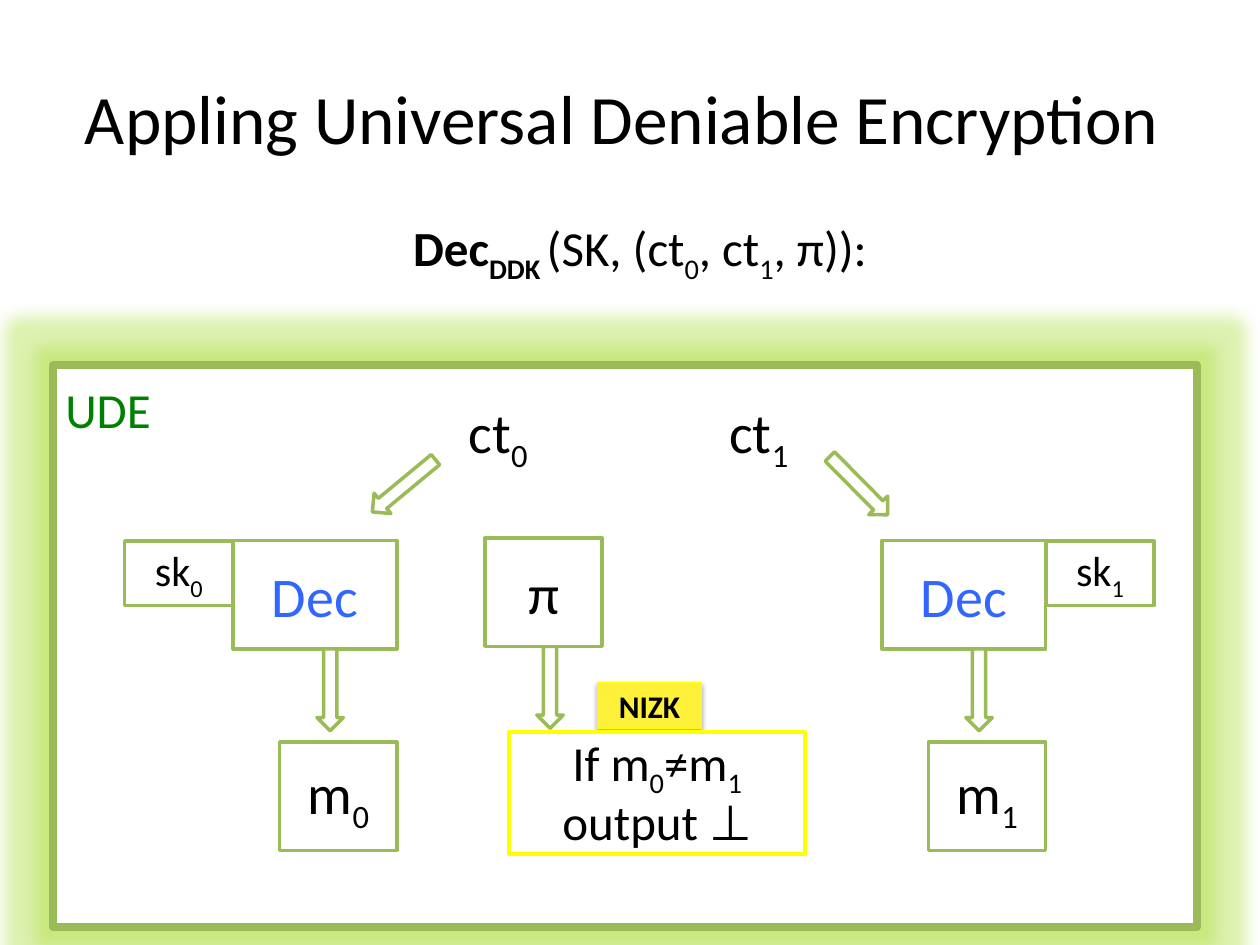
from dataclasses import dataclass

from lxml import etree
from pptx import Presentation
from pptx.dml.color import RGBColor
from pptx.enum import shapes, text
from pptx.oxml import ns
from pptx.util import Emu, Inches, Pt

# Grid of 100 columns and 75 rows
COLUMNS, ROWS = 100, 75
CELL = Inches(10) // COLUMNS

FONT = "Calibri"
BLACK = RGBColor(0x00, 0x00, 0x00)
WHITE = RGBColor(0xFF, 0xFF, 0xFF)
GREEN = RGBColor(0x9B, 0xBB, 0x59)
DARK_GREEN = RGBColor(0x00, 0x80, 0x00)
BLUE = RGBColor(0x33, 0x66, 0xFF)
YELLOW = RGBColor(0xFF, 0xFF, 0x00)
GOLD = RGBColor(0xFF, 0xF0, 0x39)
GLOW = RGBColor(0xAA, 0xDE, 0x3A)

RECT = shapes.MSO_SHAPE.RECTANGLE
ARROW = shapes.MSO_SHAPE.RIGHT_ARROW
MIDDLE, TOP = text.MSO_ANCHOR.MIDDLE, text.MSO_ANCHOR.TOP


@dataclass
class Span:
    text: str
    sub: bool = False
    bold: bool = False


@dataclass
class Area:
    col: float
    row: float
    cols: float
    rows: float

    def lengths(self) -> list[Emu]:
        return [Emu(round(n * CELL)) for n in (self.col, self.row, self.cols, self.rows)]


@dataclass
class Branch:
    """One decryption path: ciphertext, key, decryption and message."""
    index: str
    dec_col: float
    key_col: float
    cipher_col: float
    arrow_col: float
    angle: float


BRANCHES = [
    Branch("0", 18.5, 9.9, 36.2, 28.8, 140.4),
    Branch("1", 70, 83, 56.9, 64.9, 45.3),
]


def write(para, spans: list[Span], size: float, color: RGBColor = BLACK) -> None:
    for span in spans:
        run = para.add_run()
        run.text = span.text
        run.font.name, run.font.size = FONT, Pt(size)
        run.font.bold = span.bold
        run.font.color.rgb = color
        if span.sub:
            run.font._element.set("baseline", "-25000")


def draw_shape(page, kind, area: Area, line: RGBColor = GREEN, width: float = 2,
               fill: RGBColor = WHITE, angle: float = 0):
    shape = page.shapes.add_shape(kind, *area.lengths())
    shape.shadow.inherit = False
    shape.fill.solid()
    shape.fill.fore_color.rgb = fill
    shape.line.color.rgb = line
    shape.line.width = Pt(width)
    shape.rotation = angle
    return shape


def draw_box(page, area: Area, spans: list[Span], size: float = 32,
             color: RGBColor = BLACK, anchor=MIDDLE, inset: float = 0.5, **style):
    box = draw_shape(page, RECT, area, **style)
    frame = box.text_frame
    frame.word_wrap = True
    frame.vertical_anchor = anchor
    frame.margin_top = frame.margin_bottom = Emu(round(inset * CELL))
    para = frame.paragraphs[0]
    para.alignment = text.PP_ALIGN.CENTER
    write(para, spans, size, color)
    return box


def draw_arrow(page, col: float, row: float, angle: float = 90) -> None:
    draw_shape(page, ARROW, Area(col, row, 6.5, 2.1), angle=angle)


def draw_label(page, area: Area, spans: list[Span], size: float,
               color: RGBColor = BLACK) -> None:
    label = page.shapes.add_textbox(*area.lengths())
    label.text_frame.word_wrap = False
    label.text_frame.auto_size = text.MSO_AUTO_SIZE.SHAPE_TO_FIT_TEXT
    write(label.text_frame.paragraphs[0], spans, size, color)


def add_effect(shape, tag: str, color: RGBColor, alpha: int, **settings) -> None:
    effects = shape._element.spPr.find(ns.qn("a:effectLst"))
    effect = etree.SubElement(effects, ns.qn(tag), {k: str(v) for k, v in settings.items()})
    tint = etree.SubElement(effect, ns.qn("a:srgbClr"), val=str(color))
    etree.SubElement(tint, ns.qn("a:alpha"), val=str(alpha * 1000))


def draw_branch(page, branch: Branch) -> None:
    index = Span(branch.index, sub=True)
    draw_box(page, Area(branch.dec_col, 42.9, 13, 8.6), [Span("Dec")], color=BLUE)
    draw_arrow(page, branch.arrow_col, 37.5, branch.angle)
    draw_arrow(page, branch.dec_col + 4.45, 53.7)
    draw_label(page, Area(branch.cipher_col, 31.1, 6.9, 6.4), [Span("ct"), index], 32)
    draw_box(page, Area(branch.key_col, 42.95, 8.6, 5.1), [Span("sk"), index], 24)
    draw_box(page, Area(branch.dec_col + 3.7, 58.9, 9.3, 8.6), [Span("m"), index])


def main() -> None:
    deck = Presentation()
    deck.slide_width, deck.slide_height = COLUMNS * CELL, ROWS * CELL
    page = deck.slides.add_slide(deck.slide_layouts[5])

    # Title
    title = page.shapes.title
    title.left, title.top, title.width, title.height = Area(5, 3, 90, 12.5).lengths()
    title.text_frame.vertical_anchor = MIDDLE
    para = title.text_frame.paragraphs[0]
    para.alignment = text.PP_ALIGN.CENTER
    write(para, [Span("Appling Universal Deniable Encryption ")], 39.6)

    # Glowing frame
    frame = draw_shape(page, RECT, Area(4.2, 29, 90.8, 44.6), width=4.5)
    add_effect(frame, "a:glow", GLOW, 40, rad=Pt(18))

    # Both decryption paths
    for branch in BRANCHES:
        draw_branch(page, branch)

    # Proof and consistency check
    badge = draw_box(page, Area(47.4, 54.2, 8.3, 3.6), [Span("NIZK", bold=True)], 18,
                     anchor=TOP, inset=0.3, fill=GOLD, line=YELLOW, width=0.75)
    add_effect(badge, "a:outerShdw", BLACK, 35, blurRad=Pt(3.1), dist=Pt(1.8),
               dir=90 * 60000, rotWithShape=0)
    check = draw_box(page, Area(40.4, 58.1, 23.5, 9.7),
                     [Span("If m"), Span("0", sub=True), Span("≠m"),
                      Span("1 ", sub=True), Span("output ⊥")], 28,
                     anchor=TOP, inset=0, line=YELLOW, width=2.25)
    check.text_frame.paragraphs[0].line_spacing = 0.95
    draw_arrow(page, 40.4, 53.5)
    draw_box(page, Area(38.5, 42.7, 9.3, 8.6), [Span("π")])

    # Algorithm heading and frame label
    draw_label(page, Area(31.8, 16.8, 39.5, 5.7),
               [Span("Dec", bold=True), Span("DDK ", sub=True, bold=True),
                Span("(SK, (ct"), Span("0", sub=True), Span(", ct"),
                Span("1", sub=True), Span(", π)):")], 28)
    draw_label(page, Area(4.2, 29.6, 8.9, 5.7), [Span("UDE")], 28, DARK_GREEN)

    deck.save("out.pptx")


if __name__ == "__main__":
    main()
